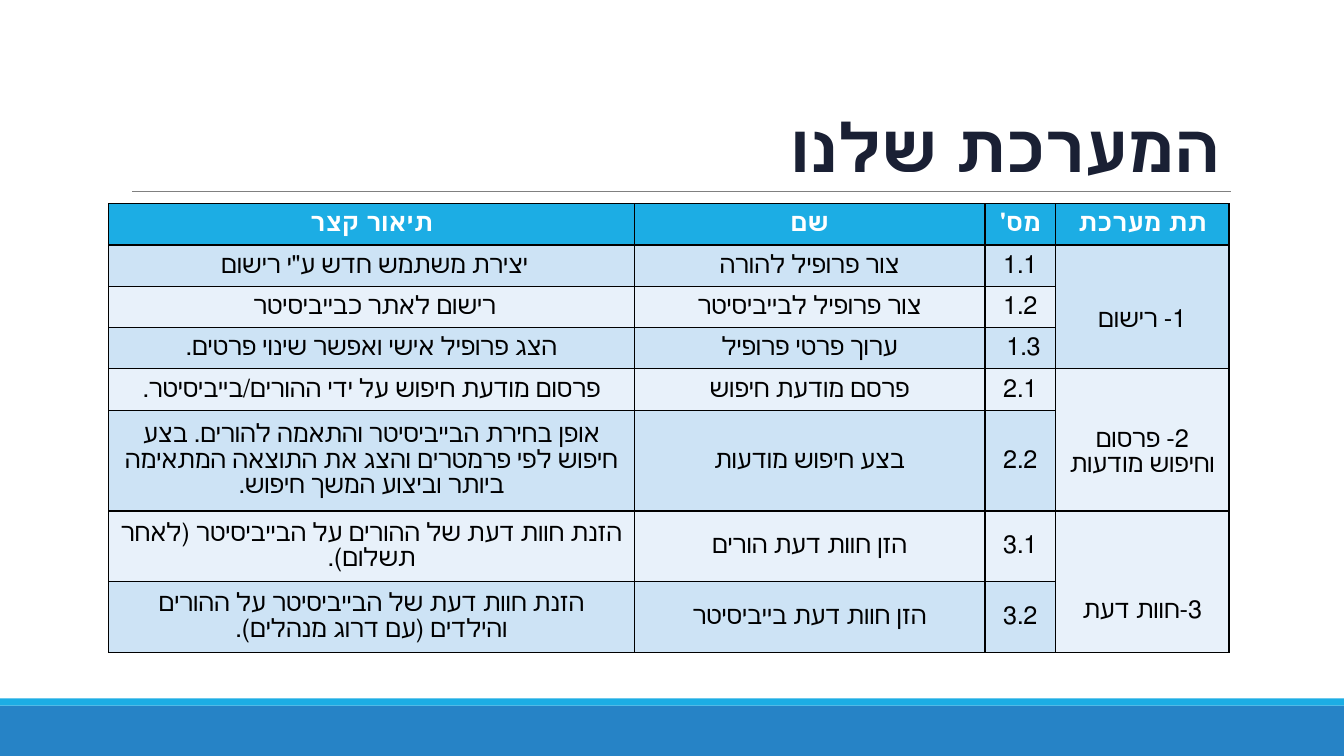
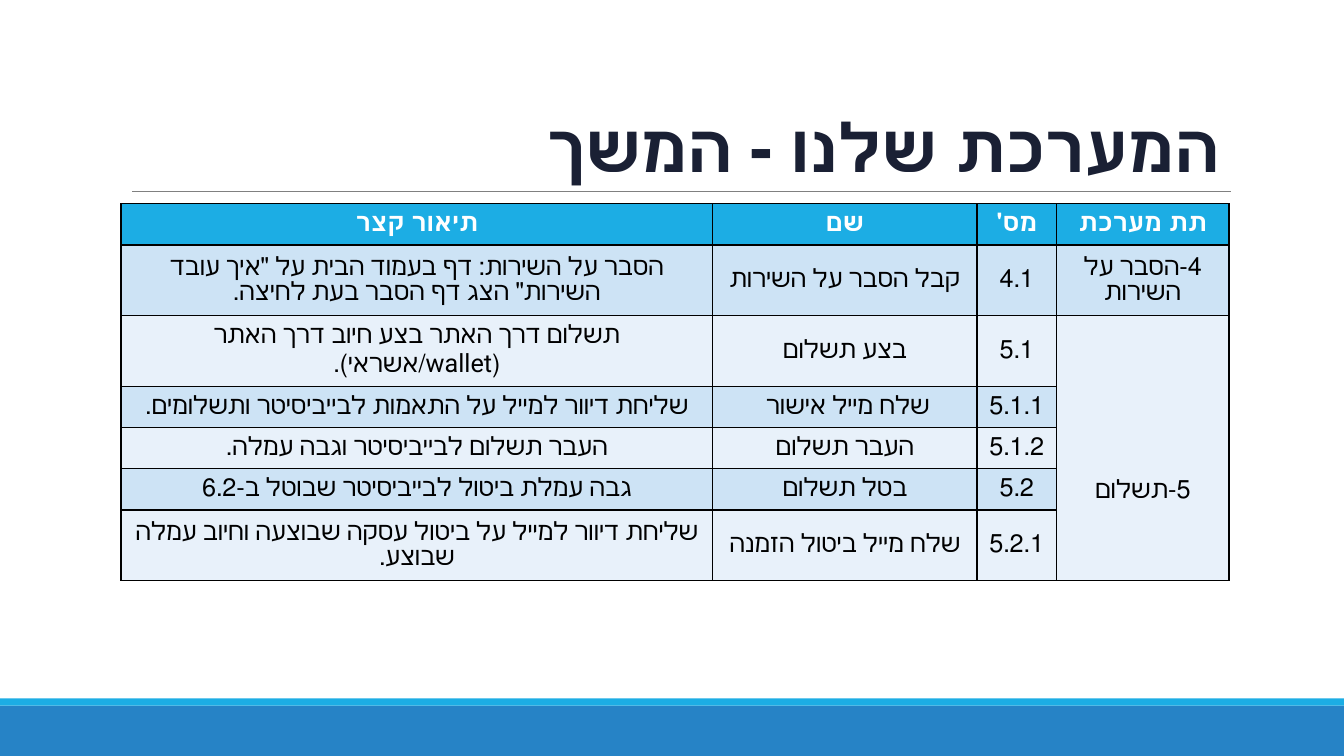
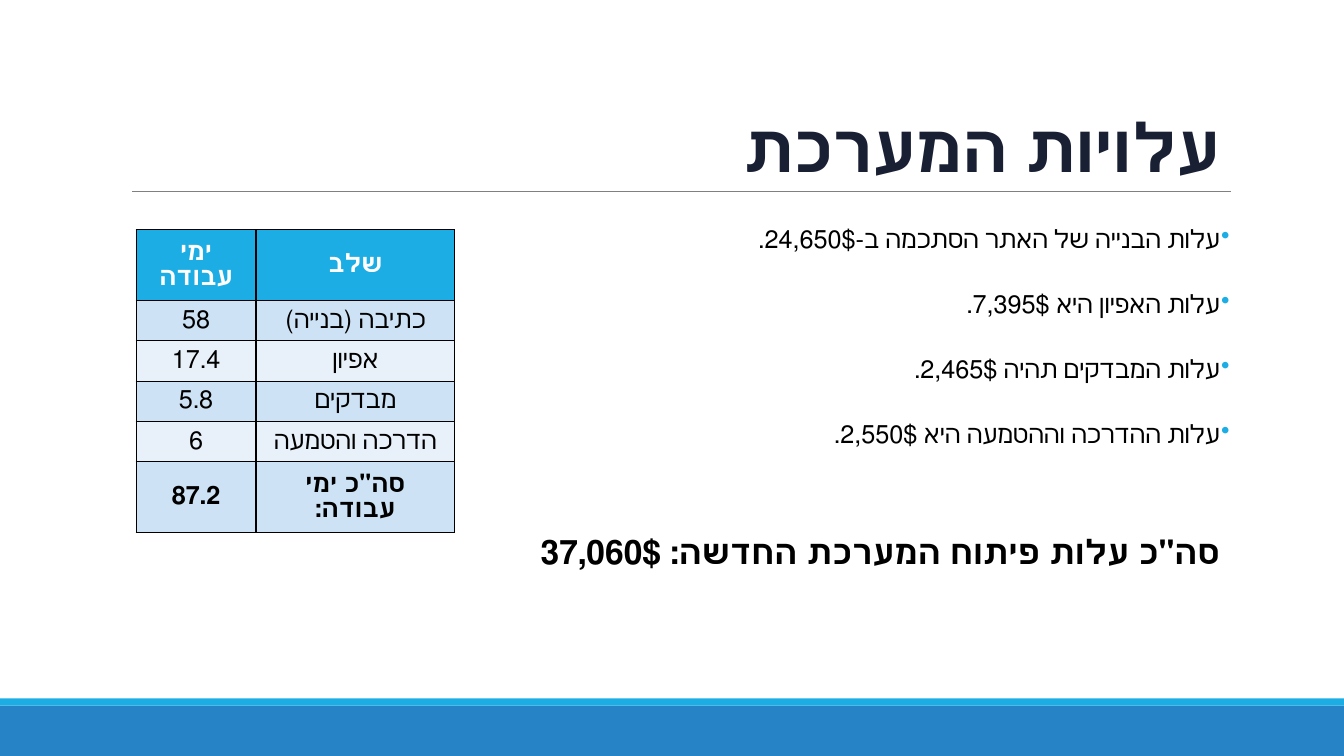
from dataclasses import dataclass

from lxml import etree
from pptx import Presentation, util as u
from pptx.dml.color import RGBColor
from pptx.enum import lang, shapes, text
from pptx.oxml import ns


@dataclass(frozen=True)
class Theme:
    font: str = "Roboto"
    title_color: str = "1A2034"
    text_color: str = "000000"
    header_text: str = "FFFFFF"
    accent: str = "1CADE4"
    footer: str = "2683C6"
    rule: str = "808080"
    odd_row: str = "CDE3F5"
    even_row: str = "E8F1FA"
    title_size: int = 48
    body_size: int = 18
    total_size: int = 24


THEME = Theme()


@dataclass(frozen=True)
class Lowered:
    """Cell text pushed down by a top margin in inches."""
    text: str
    top: float


@dataclass(frozen=True)
class TableSpec:
    """Rows run top to bottom; None joins a cell to the one above it."""
    left: float
    top: float
    columns: list[float]
    heights: list[float]
    rows: list[tuple[str | Lowered | None, ...]]
    bold_last: bool = False


HEADINGS = ("תיאור קצר", "שם", "מס'", "תת מערכת")

SYSTEM = TableSpec(
    1.08, 2.02, [5.21, 3.48, 0.7, 1.72], [0.41] * 5 + [0.85, 0.6, 0.6],
    [
        HEADINGS,
        ('יצירת משתמש חדש ע"י רישום ', "צור פרופיל להורה", "1.1", Lowered("1- רישום", 0.3)),
        ("רישום לאתר כבייביסיטר ", "צור פרופיל לבייביסיטר", "1.2", None),
        ("הצג פרופיל אישי ואפשר שינוי פרטים.", "ערוך פרטי פרופיל", "1.3 ", None),
        ("פרסום מודעת חיפוש על ידי ההורים/בייביסיטר.", "פרסם מודעת חיפוש", "2.1",
         Lowered("2- פרסום וחיפוש מודעות", 0.3)),
        ("אופן בחירת הבייביסיטר והתאמה להורים. בצע חיפוש לפי פרמטרים והצג את התוצאה "
         "המתאימה ביותר וביצוע המשך חיפוש.", "בצע חיפוש מודעות", "2.2", None),
        ("הזנת חוות דעת של ההורים על הבייביסיטר (לאחר תשלום).", "הזן חוות דעת הורים", "3.1",
         Lowered("3-חוות דעת", 0.63)),
        ("הזנת חוות דעת של הבייביסיטר על ההורים והילדים (עם דרוג מנהלים).",
         "הזן חוות דעת בייביסיטר", "3.2", None),
    ],
)

SYSTEM_CONTINUED = TableSpec(
    1.2, 2.02, [5.87, 2.62, 0.79, 1.71], [0.41, 0.6, 0.64, 0.41, 0.41, 0.41, 0.6],
    [
        HEADINGS,
        ('הסבר על השירות: דף בעמוד הבית על "איך עובד השירות" הצג דף הסבר בעת לחיצה.',
         "קבל הסבר על השירות", "4.1", "4-הסבר על השירות"),
        ("תשלום דרך האתר בצע חיוב דרך האתר (wallet/אשראי).", "בצע תשלום", "5.1",
         Lowered("5-תשלום", 0.9)),
        ("שליחת דיוור למייל על התאמות לבייביסיטר ותשלומים.", "שלח מייל אישור ", "5.1.1", None),
        ("העבר תשלום לבייביסיטר וגבה עמלה.", "העבר תשלום", "5.1.2", None),
        ("גבה עמלת ביטול לבייביסיטר שבוטל ב-6.2", "בטל תשלום", "5.2", None),
        ("שליחת דיוור למייל על ביטול עסקה שבוצעה וחיוב עמלה שבוצע.",
         "שלח מייל ביטול הזמנה", "5.2.1", None),
    ],
)

WORK_DAYS = TableSpec(
    1.35, 2.28, [1.19, 1.97], [0.65, 0.4, 0.4, 0.4, 0.4, 0.69],
    [
        ("ימי עבודה", "שלב"),
        ("58", "כתיבה (בנייה)"),
        ("17.4", "אפיון"),
        ("5.8", "מבדקים"),
        ("6", "הדרכה והטמעה"),
        ("87.2", 'סה"כ ימי עבודה:'),
    ],
    bold_last=True,
)

COSTS = [
    "עלות הבנייה של האתר הסתכמה ב-24,650$.",
    "עלות האפיון היא 7,395$.",
    "עלות המבדקים תהיה 2,465$. ",
    "עלות ההדרכה וההטמעה היא 2,550$.",
]
TOTAL_COST = 'סה"כ עלות פיתוח המערכת החדשה: 37,060$'


def add_child(parent, tag: str, **attributes: str):
    return etree.SubElement(parent, ns.qn(tag), attributes)


def write(paragraph, content: str, *, size: int = THEME.body_size,
          color: str = THEME.text_color, bold: bool = False,
          align=text.PP_ALIGN.RIGHT, line_spacing: float | None = None,
          before: float = 0, after: float = 0, tracking: int = 0):
    """Fill a right-to-left paragraph with one formatted run."""
    paragraph.alignment = align
    paragraph.line_spacing = line_spacing
    paragraph.space_before, paragraph.space_after = u.Pt(before), u.Pt(after)
    paragraph._p.get_or_add_pPr().set("rtl", "1")
    run = paragraph.add_run()
    run.text = content
    font = run.font
    font.name, font.size, font.bold = THEME.font, u.Pt(size), bold
    font.color.rgb = RGBColor.from_string(color)
    font.language_id = lang.MSO_LANGUAGE_ID.HEBREW
    if tracking:
        run._r.get_or_add_rPr().set("spc", str(tracking))


def indent(paragraph, *, bullet: bool):
    properties = paragraph._p.get_or_add_pPr()
    properties.set("marL", str(u.Inches(0.1)))
    properties.set("indent", str(u.Inches(-0.1 if bullet else 0)))
    if bullet:
        add_child(add_child(properties, "a:buClr"), "a:srgbClr", val=THEME.accent)
        add_child(properties, "a:buChar", char="•")


def add_frame(slide, left: float, top: float, width: float, height: float):
    box = slide.shapes.add_textbox(*map(u.Inches, (left, top, width, height)))
    box.text_frame.word_wrap = True
    return box.text_frame


def add_band(slide, top: float, height: float, color: str):
    band = slide.shapes.add_shape(
        shapes.MSO_SHAPE.RECTANGLE, 0, u.Inches(top), u.Inches(13.33), u.Inches(height))
    band.shadow.inherit = False
    band.fill.solid()
    band.fill.fore_color.rgb = RGBColor.from_string(color)
    band.line.fill.background()


def add_titled_slide(presentation, title: str):
    slide = presentation.slides.add_slide(presentation.slide_layouts[6])
    add_band(slide, 7, 0.5, THEME.footer)
    add_band(slide, 6.93, 0.07, THEME.accent)
    rule = slide.shapes.add_connector(
        shapes.MSO_CONNECTOR.STRAIGHT, *map(u.Inches, (1.31, 1.9, 12.21, 1.9)))
    rule.line.color.rgb = RGBColor.from_string(THEME.rule)
    rule.line.width = u.Pt(0.5)
    add_child(rule._element.spPr, "a:effectLst")
    frame = add_frame(slide, 1.2, 0.31, 11, 1.59)
    frame.vertical_anchor = text.MSO_ANCHOR.BOTTOM
    write(frame.paragraphs[0], title, size=THEME.title_size, color=THEME.title_color,
          bold=True, line_spacing=0.85, tracking=-50)
    return slide


def style_cell(cell, fill: str):
    properties = cell._tc.get_or_add_tcPr()
    for side in ("a:lnL", "a:lnR", "a:lnT", "a:lnB"):
        border = add_child(properties, side, w=str(u.Pt(1)))
        add_child(add_child(border, "a:solidFill"), "a:srgbClr", val=THEME.text_color)
    cell.fill.solid()
    cell.fill.fore_color.rgb = RGBColor.from_string(fill)
    cell.vertical_anchor = text.MSO_ANCHOR.MIDDLE


def add_table(slide, spec: TableSpec):
    size = (sum(spec.columns), sum(spec.heights))
    table = slide.shapes.add_table(
        len(spec.rows), len(spec.columns),
        *map(u.Inches, (spec.left, spec.top, *size))).table
    table.first_row = table.horz_banding = False
    for column, width in zip(table.columns, spec.columns):
        column.width = u.Inches(width)
    for row, height in zip(table.rows, spec.heights):
        row.height = u.Inches(height)

    for row_index, values in enumerate(spec.rows):
        header = row_index == 0
        last = row_index == len(spec.rows) - 1
        fill = THEME.accent if header else (THEME.even_row, THEME.odd_row)[row_index % 2]
        for column_index, value in enumerate(values):
            cell = table.cell(row_index, column_index)
            style_cell(cell, fill)
            if value is None:
                continue
            if isinstance(value, Lowered):
                cell.margin_top = u.Inches(value.top)
                value = value.text
            write(cell.text_frame.paragraphs[0], value, align=text.PP_ALIGN.CENTER,
                  color=THEME.header_text if header else THEME.text_color,
                  bold=header or (last and spec.bold_last))

    for column_index, values in enumerate(zip(*spec.rows)):
        starts = [index for index, value in enumerate(values) if value is not None]
        for start, following in zip(starts, starts[1:] + [len(values)]):
            if following - start > 1:
                table.cell(start, column_index).merge(table.cell(following - 1, column_index))


def add_costs(slide):
    frame = add_frame(slide, 1.2, 2.02, 11, 4.4)
    frame.margin_left = frame.margin_right = 0
    for index, cost in enumerate(COSTS):
        paragraph = frame.add_paragraph() if index else frame.paragraphs[0]
        write(paragraph, cost, line_spacing=1.5, before=12, after=2)
        indent(paragraph, bullet=True)
    total = frame.add_paragraph()
    write(total, TOTAL_COST, size=THEME.total_size, bold=True,
          line_spacing=1.5, before=42, after=2)
    indent(total, bullet=False)


def main():
    presentation = Presentation()
    presentation.slide_width, presentation.slide_height = u.Inches(13.33), u.Inches(7.5)
    add_table(add_titled_slide(presentation, "המערכת שלנו"), SYSTEM)
    add_table(add_titled_slide(presentation, "המערכת שלנו - המשך"), SYSTEM_CONTINUED)
    costs_slide = add_titled_slide(presentation, "עלויות המערכת")
    add_costs(costs_slide)
    add_table(costs_slide, WORK_DAYS)
    presentation.save("out.pptx")


if __name__ == "__main__":
    main()
